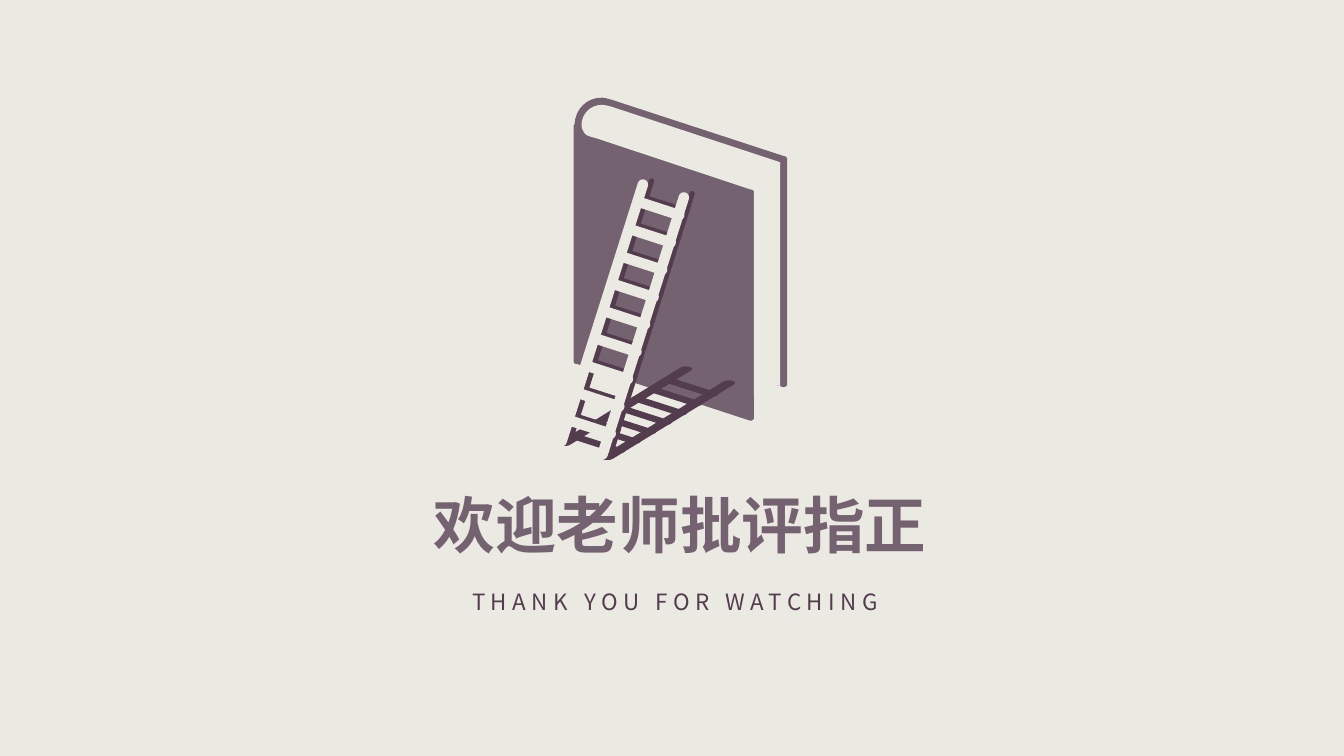
from dataclasses import dataclass
from math import atan2, cos, pi, sin

from lxml import etree
from pptx import Presentation
from pptx import util as u
from pptx.dml.color import RGBColor
from pptx.enum import text
from pptx.oxml.ns import qn

COLORS = {"paper": "EBEAE2", "cover": "756271", "shadow": "543C4F"}
FONT = "Noto Sans CJK SC"
CAP_STEPS = 8
CURVE_STEPS = 8

Point = tuple[float, float]


@dataclass
class Bars:
    """Equal round-ended bars, each moved by one step from the last."""
    start: Point
    end: Point
    radius: Point
    step: Point
    count: int
    color: str


@dataclass
class Outline:
    """Two numbers make a line to a point, six make a Bezier curve."""
    segments: list[tuple[float, ...]]
    color: str


BOOK_COVER = Outline([
    (560.2, 111.6), (437, 71.3),
    (434.2, 70.6, 432, 69.8, 429.8, 69.8),
    (419, 69.8, 411.1, 77.8, 410.4, 88.6),
    (409.7, 90), (409.7, 257.8),
    (409.7, 259.2, 410.4, 259.9, 411.8, 259.9),
    (535, 300.2),
    (536.6, 301.2, 538.6, 300, 538.6, 298.1),
    (538.6, 270), (559.4, 276.5),
    (560.9, 276.5, 562.3, 275.8, 562.3, 274.3),
    (562.3, 113.8),
    (562.3, 113, 561.6, 111.6, 560.2, 111.6),
], "cover")

BOOK_PAGES = Outline([
    (538.6, 137.5), (538.6, 283),
    (540.7, 277.9, 545.8, 275, 551.5, 275),
    (553, 275, 555.1, 275, 557.3, 275.8),
    (557.3, 115.9), (437, 76.3),
    (434.2, 75.6, 432, 74.9, 429.8, 74.9),
    (421.9, 74.9, 415.4, 81.4, 415.4, 89.3),
    (415.4, 91.4, 416.9, 95, 419, 96.5),
    (421.9, 97.9, 425.5, 98.6, 425.5, 98.6),
    (536.4, 135.4),
    (537.8, 135.4, 538.6, 136.1, 538.6, 137.5),
], "paper")

LADDER = [
    # Shadow on the cover: rails, rungs
    Bars((465.4, 129.3), (408, 312), (1.9, 1.9), (29, 9.1), 2, "shadow"),
    Bars((462, 141.6), (490.6, 150.7), (1.9, 1.9), (-6.12, 19.53), 9, "shadow"),
    # Shadow on the floor: rails, rungs
    Bars((489.9, 263.6), (403.4, 316.7), (4.5, 1.9), (30.6, 10), 2, "shadow"),
    Bars((478.4, 271.9), (508.3, 281.5), (4.5, 1.9), (-11.04, 6.74), 7, "shadow"),
    # Ladder itself: rails, rungs
    Bars((459.2, 131.9), (401.2, 315.2), (3.75, 3.75), (29.3, 9.2), 2, "paper"),
    Bars((455.9, 144.1), (485.2, 153.6), (3.75, 3.75), (-6.12, 19.53), 9, "paper"),
]


def draw_polygon(group, points: list[Point], color: str) -> None:
    vertices = [(u.Pt(x), u.Pt(y)) for x, y in points]
    builder = group.shapes.build_freeform(*vertices[0])
    builder.add_line_segments(vertices[1:], close=True)
    shape = builder.convert_to_shape()
    shape.shadow.inherit = False
    shape.fill.solid()
    shape.fill.fore_color.rgb = RGBColor.from_string(COLORS[color])
    shape.line.fill.background()


def draw_outline(group, outline: Outline) -> None:
    points: list[Point] = []
    for segment in outline.segments:
        if len(segment) == 2:
            points.append(segment)
            continue
        nodes = [points[-1], segment[:2], segment[2:4], segment[4:]]
        for index in range(1, CURVE_STEPS + 1):
            t = index / CURVE_STEPS
            weights = ((1 - t) ** 3, 3 * t * (1 - t) ** 2, 3 * t * t * (1 - t), t ** 3)
            points.append(tuple(
                sum(w * node[axis] for w, node in zip(weights, nodes)) for axis in (0, 1)))
    draw_polygon(group, points, outline.color)


def draw_bars(group, bars: Bars) -> None:
    radius_x, radius_y = bars.radius
    # Direction of the bar once its elliptic ends are scaled to circles
    direction = atan2((bars.end[1] - bars.start[1]) / radius_y,
                      (bars.end[0] - bars.start[0]) / radius_x)
    bar: list[Point] = []
    for center, first in ((bars.end, direction - pi / 2), (bars.start, direction + pi / 2)):
        for index in range(CAP_STEPS + 1):
            angle = first + pi * index / CAP_STEPS
            bar.append((center[0] + radius_x * cos(angle), center[1] + radius_y * sin(angle)))
    for number in range(bars.count):
        shift_x, shift_y = (number * step for step in bars.step)
        draw_polygon(group, [(x + shift_x, y + shift_y) for x, y in bar], bars.color)


def write_text(shape, content: str, *, box: tuple[float, float, float, float], size: float,
               color: str, bold: bool = False, spacing: float = 0) -> None:
    shape.left, shape.top, shape.width, shape.height = (u.Pt(length) for length in box)
    frame = shape.text_frame
    frame.word_wrap = False
    frame.auto_size = text.MSO_AUTO_SIZE.SHAPE_TO_FIT_TEXT
    frame.vertical_anchor = text.MSO_ANCHOR.TOP
    paragraph = frame.paragraphs[0]
    paragraph.alignment = text.PP_ALIGN.CENTER
    run = paragraph.add_run()
    run.text = content
    font = run.font
    font.name, font.size, font.bold = FONT, u.Pt(size), bold
    font.color.rgb = RGBColor.from_string(COLORS[color])
    properties = run._r.get_or_add_rPr()
    etree.SubElement(properties, qn("a:ea")).set("typeface", FONT)
    if spacing:
        properties.set("spc", str(round(spacing * 100)))


def main() -> None:
    presentation = Presentation()
    presentation.slide_width, presentation.slide_height = u.Pt(960), u.Pt(540)
    slide = presentation.slides.add_slide(presentation.slide_layouts[5])
    slide.background.fill.solid()
    slide.background.fill.fore_color.rgb = RGBColor.from_string(COLORS["paper"])

    # Closing words
    write_text(slide.shapes.title, "欢迎老师批评指正", box=(301, 344.2, 370, 60.5),
               size=44, color="cover", bold=True)
    thanks = slide.shapes.add_textbox(0, 0, 0, 0)
    write_text(thanks, "THANK YOU FOR WATCHING", box=(316.1, 416.9, 332.6, 26.6),
               size=16, color="shadow", spacing=4)

    # Book with a ladder leaning on it
    book = slide.shapes.add_group_shape()
    draw_outline(book, BOOK_COVER)
    for bars in LADDER:
        draw_bars(book, bars)
    draw_outline(book, BOOK_PAGES)

    presentation.save("out.pptx")


if __name__ == "__main__":
    main()
